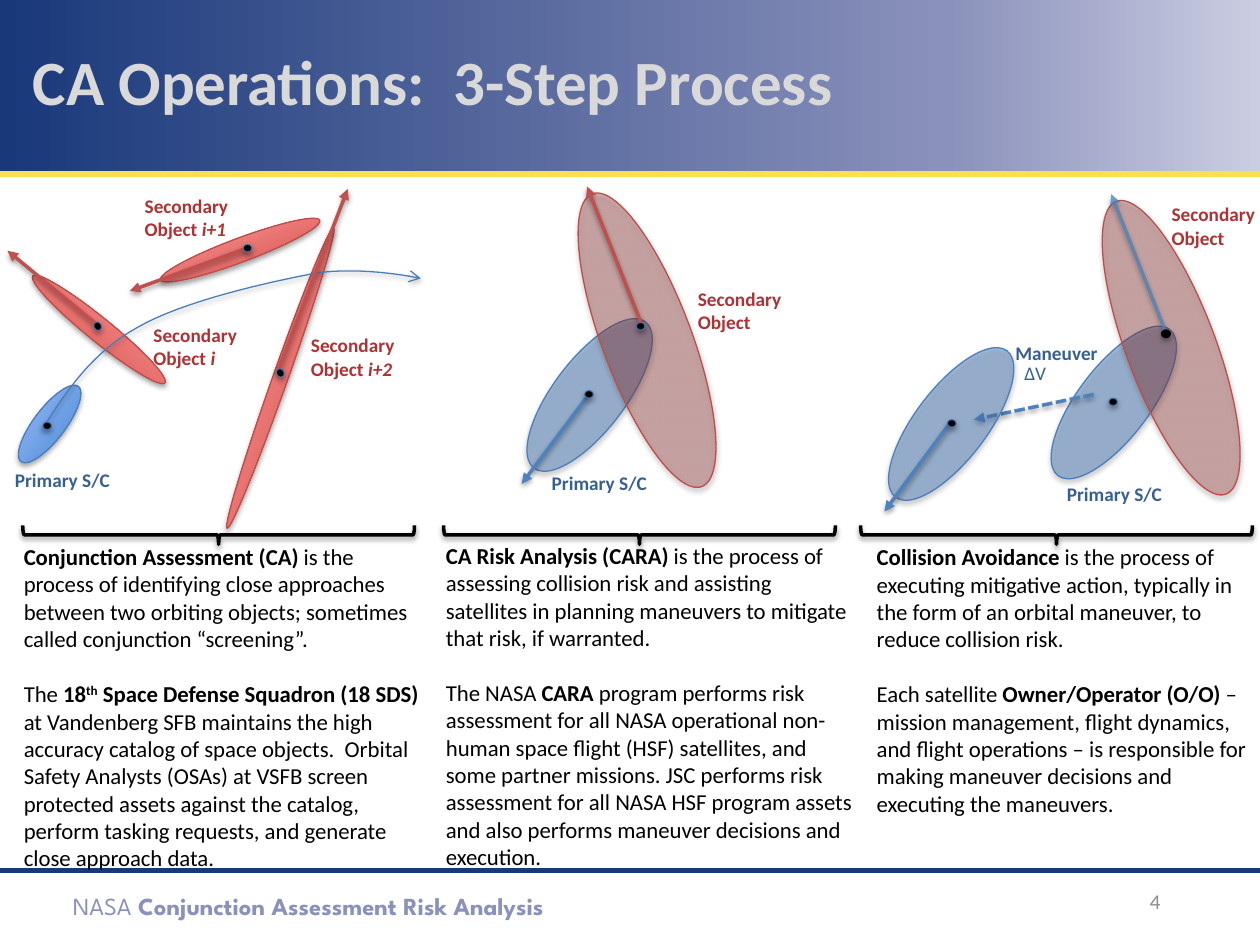
from dataclasses import dataclass
from typing import NamedTuple, Optional

from lxml.etree import SubElement
from pptx import Presentation
from pptx.dml.color import RGBColor
from pptx.enum.dml import MSO_LINE as Dash
from pptx.enum.shapes import MSO_CONNECTOR as Link, MSO_SHAPE as Preset
from pptx.enum.text import MSO_ANCHOR as Anchor, MSO_AUTO_SIZE as AutoSize, PP_ALIGN as Align
from pptx.oxml.ns import qn
from pptx.util import Pt

WHITE = RGBColor(0xFF, 0xFF, 0xFF)
BLACK = RGBColor(0x00, 0x00, 0x00)
NAVY = RGBColor(0x19, 0x38, 0x7A)
LAVENDER = RGBColor(0x8A, 0x91, 0xBB)
MIST = RGBColor(0xCB, 0xCD, 0xE2)
YELLOW = RGBColor(0xFA, 0xDF, 0x4E)
SILVER = RGBColor(0xD9, 0xD9, 0xD9)
GRAY = RGBColor(0x8C, 0x8C, 0x8C)
BLUE = RGBColor(0x4F, 0x81, 0xBD)
BLUE_EDGE = RGBColor(0x4B, 0x7E, 0xBC)
BLUE_TEXT = RGBColor(0x37, 0x60, 0x92)
RED = RGBColor(0xC0, 0x50, 0x4D)
RED_EDGE = RGBColor(0xBF, 0x4C, 0x48)
RED_TEXT = RGBColor(0xAF, 0x31, 0x34)
MAROON = RGBColor(0x95, 0x37, 0x35)
RED_BLEND = ((0, RGBColor(0xD1, 0x40, 0x3C)), (100, RGBColor(0xFF, 0xA6, 0xA5)))
BLUE_BLEND = ((0, RGBColor(0x3F, 0x80, 0xCE)), (100, RGBColor(0xA4, 0xC4, 0xFF)))
HEADER_BLEND = ((0, NAVY), (75, LAVENDER), (100, MIST))


class Span(NamedTuple):
    text: str
    bold: bool = False
    italic: bool = False
    raised: bool = False


@dataclass
class Oval:
    frame: tuple
    turn: float
    fill: object
    edge: RGBColor
    fill_alpha: Optional[int] = None
    edge_alpha: Optional[int] = None


@dataclass
class Arrow:
    start: tuple
    end: tuple
    color: RGBColor
    alpha: Optional[int] = None
    dash: Optional[Dash] = None


@dataclass
class Label:
    frame: tuple
    spans: tuple
    color: RGBColor


def points(values) -> list:
    return [Pt(value) for value in values]


def apply(target, formats: dict) -> None:
    for name, value in formats.items():
        setattr(target, name, value)


def add_effects(shape, alpha: int = 0, blur: float = 3.1, distance: float = 1.8) -> None:
    effects = SubElement(shape._element.spPr, qn("a:effectLst"))
    if alpha:
        shadow = SubElement(effects, qn("a:outerShdw"), blurRad=str(Pt(blur)),
                            dist=str(Pt(distance)), dir="5400000", rotWithShape="0")
        color = SubElement(shadow, qn("a:srgbClr"), val=str(BLACK))
        SubElement(color, qn("a:alpha"), val=str(alpha * 1000))


def set_alpha(shape, route: str, alpha: Optional[int]) -> None:
    if alpha is not None:
        color = shape._element.spPr.find("/".join(qn(step) for step in route.split()))
        SubElement(color, qn("a:alpha"), val=str(alpha * 1000))


def set_blend(shape, stops: tuple, angle: int) -> None:
    properties = shape._element.spPr
    blend = SubElement(properties, qn("a:gradFill"), rotWithShape="1")
    properties.insert(2, blend)
    stop_list = SubElement(blend, qn("a:gsLst"))
    for position, color in stops:
        stop = SubElement(stop_list, qn("a:gs"), pos=str(position * 1000))
        SubElement(stop, qn("a:srgbClr"), val=str(color))
    SubElement(blend, qn("a:lin"), ang=str(angle * 60000), scaled="0")


def set_line(shape, color: RGBColor, width: float, alpha: Optional[int] = None, head: str = "") -> None:
    shape.line.color.rgb = color
    shape.line.width = Pt(width)
    set_alpha(shape, "a:ln a:solidFill a:srgbClr", alpha)
    if head:
        SubElement(shape._element.spPr.find(qn("a:ln")), qn("a:tailEnd"), type=head)


def draw_oval(page, oval: Oval) -> None:
    shape = page.shapes.add_shape(Preset.OVAL, *points(oval.frame))
    shape.rotation = oval.turn
    if isinstance(oval.fill, RGBColor):
        shape.fill.solid()
        shape.fill.fore_color.rgb = oval.fill
        set_alpha(shape, "a:solidFill a:srgbClr", oval.fill_alpha)
    else:
        set_blend(shape, oval.fill, 270)
    set_line(shape, oval.edge, 0.75, oval.edge_alpha)
    add_effects(shape, 35)


def draw_arrow(page, arrow: Arrow) -> None:
    line = page.shapes.add_connector(Link.STRAIGHT, *points(arrow.start + arrow.end))
    if arrow.dash:
        line.line.dash_style = arrow.dash
    set_line(line, arrow.color, 2, arrow.alpha, "triangle")
    add_effects(line, 38, distance=1.6)


def draw_rule(page, y: float, color: RGBColor, width: float) -> None:
    line = page.shapes.add_connector(Link.STRAIGHT, *points((0, y, 720, y)))
    set_line(line, color, width)
    add_effects(line)


def draw_orbit(page, start: tuple, curves: tuple, steps: int = 16) -> None:
    track, origin = [], start
    for first, second, end in curves:
        for step in range(1, steps + 1):
            t = step / steps
            weights = ((1 - t) ** 3, 3 * t * (1 - t) ** 2, 3 * t * t * (1 - t), t ** 3)
            corners = (origin, first, second, end)
            track.append([Pt(sum(w * c[axis] for w, c in zip(weights, corners))) for axis in (0, 1)])
        origin = end
    builder = page.shapes.build_freeform(*points(start))
    builder.add_line_segments(track, close=False)
    orbit = builder.convert_to_shape()
    orbit.fill.background()
    set_line(orbit, BLUE_EDGE, 0.75, head="arrow")
    add_effects(orbit, 35)


def draw_brace(page, x: float) -> None:
    brace = page.shapes.add_shape(Preset.RIGHT_BRACE, *points((x, 193.7, 10.8, 223.9)))
    brace.rotation = 90
    brace.fill.background()
    set_line(brace, BLACK, 2)
    add_effects(brace, 38, distance=1.6)


def write(box, paragraphs: tuple, size: float, color: RGBColor, font: str = "Calibri",
          align: Align = Align.LEFT, gap: float = 0, **frame_formats) -> None:
    frame = box.text_frame
    apply(frame, {"word_wrap": True, "auto_size": AutoSize.NONE, **frame_formats})
    for index, spans in enumerate(paragraphs):
        para = frame.add_paragraph() if index else frame.paragraphs[0]
        para.alignment = align
        if index:
            para.space_before = Pt(gap)
        for span in spans:
            run = para.add_run()
            run.text = span.text
            apply(run.font, {"name": font, "size": Pt(size), "bold": span.bold, "italic": span.italic})
            run.font.color.rgb = color
            if span.raised:
                run.font._element.set("baseline", "30000")


def add_text(page, frame: tuple, paragraphs: tuple, size: float, color: RGBColor, **formats) -> None:
    write(page.shapes.add_textbox(*points(frame)), paragraphs, size, color, **formats)


def primary(x: float, y: float) -> Oval:
    return Oval((x, y, 105.1, 41), 307.3, BLUE, BLUE_EDGE, 48)


def secondary(x: float, y: float) -> Oval:
    return Oval((x, y, 51.1, 178.6), 339.5, MAROON, RED_EDGE, 37)


def dot(x: float, y: float, turn: float = 0, edge: RGBColor = BLUE, alpha: Optional[int] = 74) -> Oval:
    return Oval((x, y, 5, 4.3), turn, BLACK, edge, edge_alpha=alpha)


SCREENED = (
    Oval((1.4, 233.3, 54, 18), 307.3, BLUE_BLEND, BLUE_EDGE),
    Oval((88.6, 136.1, 97.2, 13.7), 339.5, RED_BLEND, RED_EDGE),
    Oval((7.9, 181.4, 97.2, 13.7), 39, RED_BLEND, RED_EDGE),
    Oval((69.1, 211.7, 182.2, 8.6), 289.5, RED_BLEND, RED_EDGE),
)
ORBIT = (((38.2, 223.2), (52.6, 201.6), (78.5, 187.2)),
         ((104.4, 172.1), (153.4, 161.3), (180, 156.2)),
         ((207.4, 151.9), (240.5, 159.1), (240.5, 159.1)))
ENCOUNTERS = (
    Arrow((54, 184.3), (4.3, 143.3), RED),
    Arrow((141.1, 141.8), (74.2, 166.3), RED),
    Arrow((158.4, 213.1), (198.7, 108), RED),
    primary(284.4, 205.2), secondary(344.2, 105.1),
    Arrow((366.5, 185), (335.5, 106.6), RED),
    Arrow((335.5, 226.8), (298.1, 276.5), BLUE),
    primary(583.9, 209.5), secondary(643.7, 109.4),
    Arrow((666, 189.4), (635, 110.9), BLUE, 74),
    Arrow((625, 225.4), (556.6, 239.8), BLUE, dash=Dash.SQUARE_DOT),
    primary(491, 221.8),
    Arrow((542.2, 242.6), (505.4, 292.3), BLUE),
)
DOTS = (dot(24.5, 241.2), dot(139, 139.7), dot(53.3, 184.3, 59.4), dot(157.7, 211, 59.4),
        dot(363.6, 184.3), dot(334.1, 223.2), dot(633.6, 227.5), dot(541.4, 239.8),
        dot(663.8, 188.6, edge=BLACK, alpha=None))
PRIMARY, SECONDARY = Span("Primary S/C", True), Span("Secondary Object", True)
LABELS = (
    Label((578.2, 203, 39.6, 20.9), (Span("∆V"),), BLUE_TEXT),
    Label((1.4, 264.2, 103.7, 20.9), (PRIMARY,), BLUE_TEXT),
    Label((170.6, 187.2, 70.6, 33.8), (SECONDARY, Span(" i+2", True, True)), RED_TEXT),
    Label((75.6, 107.3, 77, 33.8), (SECONDARY, Span(" i+1", True, True)), RED_TEXT),
    Label((80.6, 181.4, 66.2, 34.6), (SECONDARY, Span(" i", True, True)), RED_TEXT),
    Label((308.2, 265.7, 103.7, 20.9), (PRIMARY,), BLUE_TEXT),
    Label((391.7, 160.6, 67, 33.8), (SECONDARY,), RED_TEXT),
    Label((662.4, 112.3, 67, 33.8), (SECONDARY,), RED_TEXT),
    Label((602.6, 272.2, 103.7, 20.9), (PRIMARY,), BLUE_TEXT),
    Label((573.1, 191.5, 103.7, 20.9), (Span("Maneuver", True),), BLUE_TEXT),
)
STEPS = (
    (119.5, (6.5, 306.7, 245.5, 196.6), (
        (Span("Conjunction Assessment (CA)", True), Span(" is the process of identifying close approaches between two orbiting objects; sometimes called conjunction “screening”.")),
        (Span("The "), Span("18", True), Span("th", True, raised=True), Span(" Space Defense Squadron (18 SDS) ", True),
         Span("at Vandenberg SFB maintains the high accuracy catalog of space objects.  Orbital Safety Analysts (OSAs) at VSFB screen protected assets against the catalog, perform tasking requests, and generate close approach data.")))),
    (360, (247.7, 306, 246.2, 196.6), (
        (Span("CA Risk Analysis (CARA) ", True), Span("is the process of assessing collision risk and assisting satellites in planning maneuvers to mitigate that risk, if warranted.")),
        (Span("The NASA "), Span("CARA ", True), Span("program performs risk assessment for all NASA operational non-human space flight (HSF) satellites, and some partner missions. JSC performs risk assessment for all NASA HSF program assets and also performs maneuver decisions and execution.")))),
    (598.3, (493.9, 306.7, 235.4, 164.9), (
        (Span("Collision Avoidance ", True), Span("is the process of executing mitigative action, typically in the form of an orbital maneuver, to reduce collision risk.")),
        (Span("Each satellite "), Span("Owner/Operator (O/O)", True), Span(" – mission management, flight dynamics, and flight operations – is responsible for making maneuver decisions and executing the maneuvers.")))),
)


def draw_frame(page) -> None:
    header = page.shapes.add_shape(Preset.RECTANGLE, *points((0, 0, 720, 100)))
    set_blend(header, HEADER_BLEND, 0)
    header.line.fill.background()
    add_effects(header)
    add_text(page, (34.6, 505.4, 313.2, 24.5), ((Span("NASA"), Span(" Conjunction Assessment Risk Analysis", True)),),
             14, LAVENDER, font="League Spartan", word_wrap=False)
    draw_rule(page, 497.5, NAVY, 3)
    draw_rule(page, 99.4, YELLOW, 3.5)
    title = page.shapes.title
    page.shapes._spTree.append(title._element)
    apply(title, dict(zip(("left", "top", "width", "height"), points((11.5, 7.2, 691.9, 77)))))
    write(title, ((Span("CA Operations:  3-Step Process", True),),), 36, SILVER, vertical_anchor=Anchor.MIDDLE)
    add_text(page, (508.3, 500.4, 162, 28.8), ((Span("4"),),), 12, GRAY,
             align=Align.RIGHT, vertical_anchor=Anchor.MIDDLE)


def main() -> None:
    deck = Presentation()
    apply(deck, {"slide_width": Pt(720), "slide_height": Pt(540)})
    page = deck.slides.add_slide(deck.slide_layouts[5])
    page.background.fill.solid()
    page.background.fill.fore_color.rgb = WHITE
    draw_frame(page)
    for oval in SCREENED:
        draw_oval(page, oval)
    draw_orbit(page, (24.5, 244.8), ORBIT)
    for item in ENCOUNTERS:
        (draw_oval if isinstance(item, Oval) else draw_arrow)(page, item)
    for brace_x, frame, paragraphs in STEPS:
        draw_brace(page, brace_x)
        add_text(page, frame, paragraphs, 13, BLACK, gap=15.9)
    for label in LABELS:
        add_text(page, label.frame, (label.spans,), 11, label.color)
    for marker in DOTS:
        draw_oval(page, marker)
    deck.save("out.pptx")


if __name__ == "__main__":
    main()
